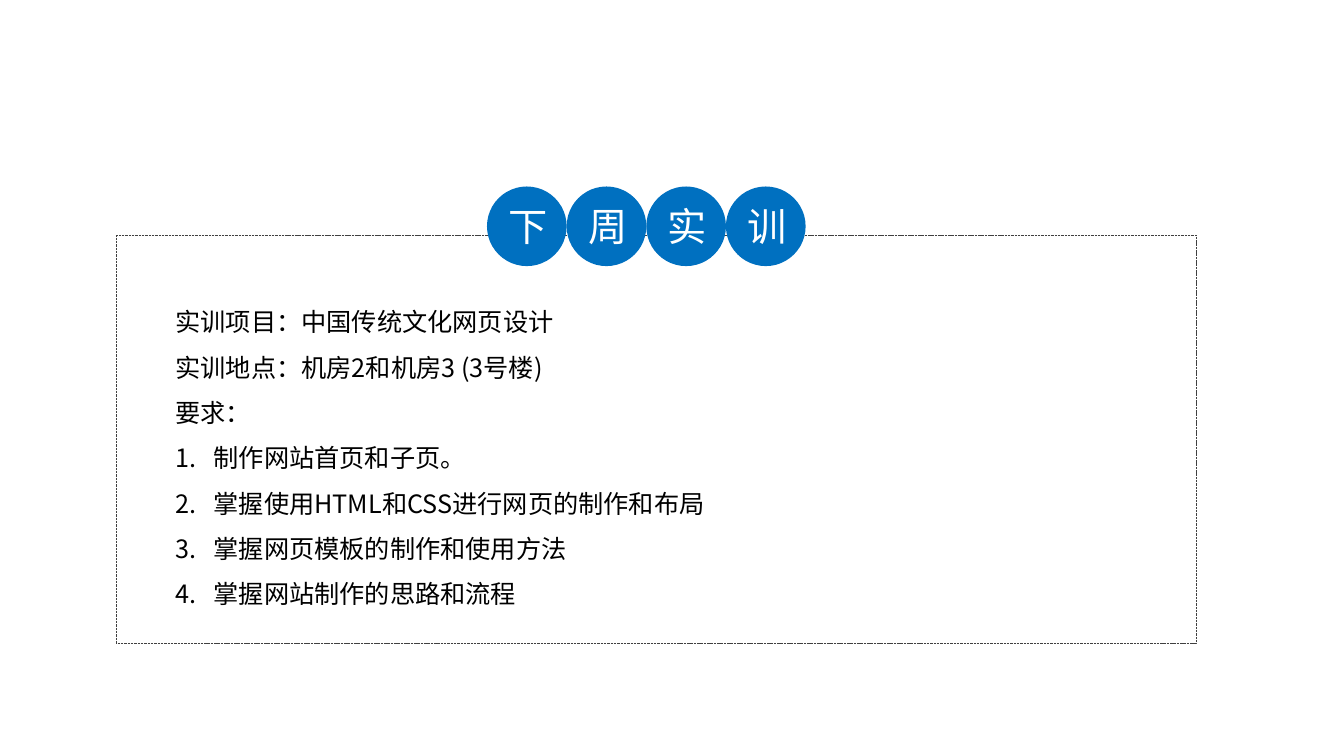
from dataclasses import dataclass

from lxml import etree
from pptx import Presentation
from pptx import util as u
from pptx.dml.color import RGBColor
from pptx.enum import dml, shapes, text
from pptx.oxml.ns import qn

EMU_PER_PX = 9144


@dataclass(frozen=True)
class Theme:
    font: str = "Noto Sans CJK SC"
    accent: RGBColor = RGBColor(0x00, 0x70, 0xC0)
    frame: RGBColor = RGBColor(0x40, 0x40, 0x40)
    body: RGBColor = RGBColor(0x00, 0x00, 0x00)
    badge: RGBColor = RGBColor(0xFF, 0xFF, 0xFF)
    body_size: int = 18
    badge_size: int = 28
    frame_width: float = 0.25
    line_spacing: float = 1.5


@dataclass(frozen=True)
class Box:
    left: int
    top: int
    width: int
    height: int

    def emu(self) -> tuple[int, int, int, int]:
        return px(self.left), px(self.top), px(self.width), px(self.height)


@dataclass(frozen=True)
class Line:
    words: str
    numbered: bool = False


THEME = Theme()
FRAME = Box(115, 233, 1071, 405)
BODY = Box(174, 289, 984, 358)
FIRST_BADGE = Box(483, 185, 79, 79)
NUMBER_INDENT = 38
HEADING = "下周实训"
LINES = (
    Line("实训项目：中国传统文化网页设计"),
    Line("实训地点：机房2和机房3 (3号楼)"),
    Line("要求："),
    Line("制作网站首页和子页。", numbered=True),
    Line("掌握使用HTML和CSS进行网页的制作和布局", numbered=True),
    Line("掌握网页模板的制作和使用方法", numbered=True),
    Line("掌握网站制作的思路和流程", numbered=True),
)


def px(length: int) -> int:
    return length * EMU_PER_PX


def add_run(paragraph, words: str, size: int, color: RGBColor) -> None:
    run = paragraph.add_run()
    run.text = words
    run.font.size = u.Pt(size)
    run.font.name = THEME.font
    run.font.color.rgb = color
    east_asian = etree.Element(qn("a:ea"), typeface=THEME.font)
    run.font._element.find(qn("a:latin")).addnext(east_asian)


def number_paragraph(paragraph) -> None:
    properties = paragraph._p.get_or_add_pPr()
    properties.set("marL", str(px(NUMBER_INDENT)))
    properties.set("indent", str(-px(NUMBER_INDENT)))
    etree.SubElement(properties, qn("a:buFont"), typeface="+mj-lt")
    etree.SubElement(properties, qn("a:buAutoNum"), type="arabicPeriod")


def draw_frame(slide, box: Box) -> None:
    frame = slide.shapes.add_shape(shapes.MSO_SHAPE.ROUNDED_RECTANGLE, *box.emu())
    frame.adjustments[0] = 0
    frame.shadow.inherit = False
    frame.fill.background()
    frame.line.color.rgb = THEME.frame
    frame.line.width = u.Pt(THEME.frame_width)
    frame.line.dash_style = dml.MSO_LINE.SQUARE_DOT


def draw_body(slide, box: Box, lines: tuple[Line, ...]) -> None:
    frame = slide.shapes.add_textbox(*box.emu()).text_frame
    frame.word_wrap = True
    frame.auto_size = text.MSO_AUTO_SIZE.SHAPE_TO_FIT_TEXT
    frame.margin_left = frame.margin_right = 0
    frame.margin_top = frame.margin_bottom = 0
    for index, line in enumerate(lines):
        paragraph = frame.add_paragraph() if index else frame.paragraphs[0]
        paragraph.alignment = text.PP_ALIGN.JUSTIFY
        paragraph.line_spacing = THEME.line_spacing
        if line.numbered:
            number_paragraph(paragraph)
        add_run(paragraph, line.words, THEME.body_size, THEME.body)


def draw_badge(slide, box: Box, character: str) -> None:
    badge = slide.shapes.add_shape(shapes.MSO_SHAPE.OVAL, *box.emu())
    badge.shadow.inherit = False
    badge.fill.solid()
    badge.fill.fore_color.rgb = THEME.accent
    badge.line.fill.background()
    badge.text_frame.vertical_anchor = text.MSO_ANCHOR.MIDDLE
    paragraph = badge.text_frame.paragraphs[0]
    paragraph.alignment = text.PP_ALIGN.CENTER
    add_run(paragraph, character, THEME.badge_size, THEME.badge)


def main() -> None:
    presentation = Presentation()
    presentation.slide_width = px(1333)
    presentation.slide_height = px(750)
    slide = presentation.slides.add_slide(presentation.slide_layouts[6])
    draw_frame(slide, FRAME)
    draw_body(slide, BODY, LINES)
    for index, character in enumerate(HEADING):
        left = FIRST_BADGE.left + index * FIRST_BADGE.width
        box = Box(left, FIRST_BADGE.top, FIRST_BADGE.width, FIRST_BADGE.height)
        draw_badge(slide, box, character)
    presentation.save("out.pptx")


if __name__ == "__main__":
    main()
